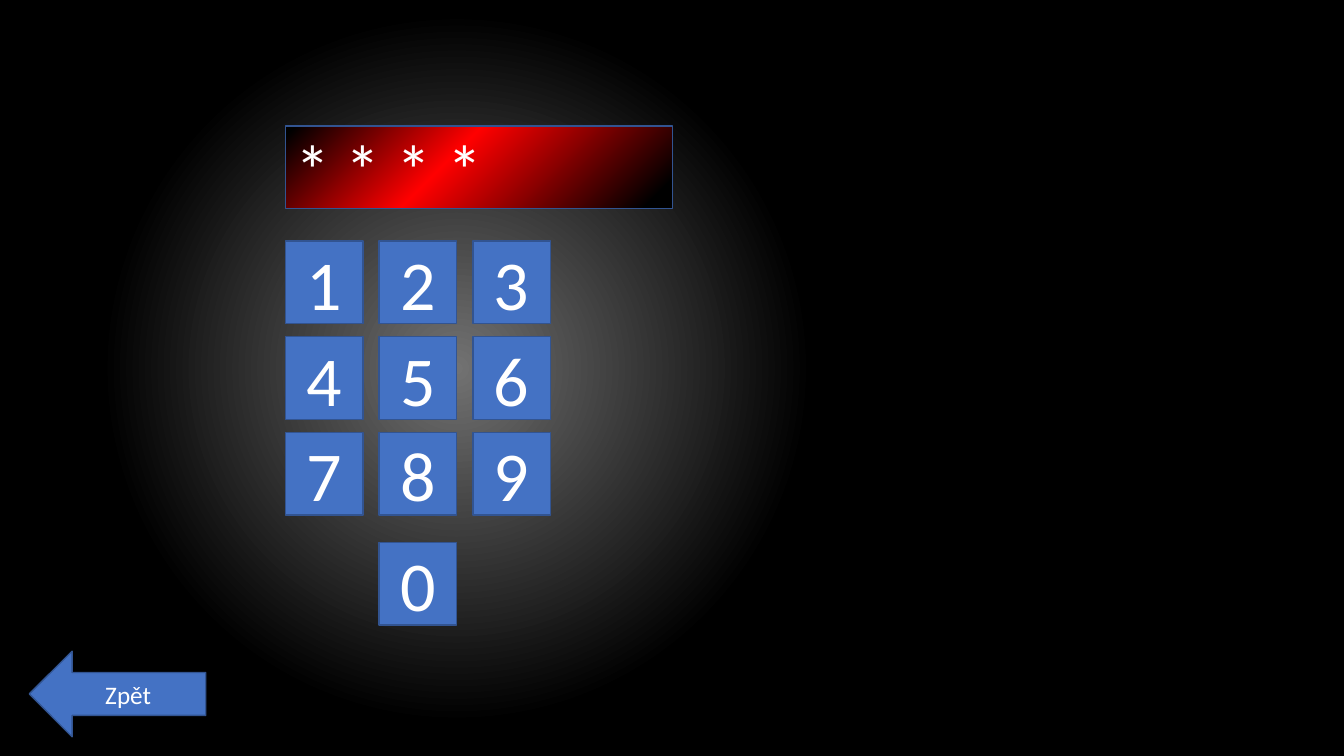
from pptx import Presentation
from pptx.dml.color import RGBColor
from pptx.enum.shapes import MSO_SHAPE
from pptx.enum.text import MSO_ANCHOR, PP_ALIGN
from pptx.oxml import parse_xml
from pptx.oxml.ns import nsdecls
from pptx.util import Inches, Pt

BLACK, WHITE, RED, GREY = "000000", "FFFFFF", "FF0000", "727272"
KEY_BLUE, EDGE_BLUE = "4472C4", "325491"
KEY_WIDTH, KEY_HEIGHT = 0.77, 0.82
KEYPAD_LEFT, KEYPAD_TOP = 2.83, 2.39
COLUMN_STEP, ROW_STEP = 0.93, 0.95
ZERO_TOP = 5.38


def color(hex_text):
    """Turn a hex string into a colour."""
    return RGBColor.from_string(hex_text)


class SlideBuilder:
    """Holds the style and the current slide."""

    font = "Calibri"

    def __init__(self, slide):
        """Remember the slide to draw on."""
        self.slide = slide

    def box(self, left, top, width, height, fill=KEY_BLUE, line=EDGE_BLUE,
            kind=MSO_SHAPE.RECTANGLE):
        """Add a filled and outlined preset shape."""
        shape = self.slide.shapes.add_shape(
            kind, Inches(left), Inches(top), Inches(width), Inches(height))
        shape.shadow.inherit = False
        shape.fill.solid()
        shape.fill.fore_color.rgb = color(fill)
        shape.line.color.rgb = color(line)
        shape.line.width = Pt(1)
        return shape

    def glow(self, shape, stops, focus):
        """Replace the solid fill by a circular gradient around a focus."""
        left, top, right, bottom = (percent * 1000 for percent in focus)
        stop_xml = "".join(
            f'<a:gs pos="{percent * 1000}"><a:srgbClr val="{hex_text}"/></a:gs>'
            for percent, hex_text in stops)
        gradient = parse_xml(
            f'<a:gradFill {nsdecls("a")} rotWithShape="1">'
            f'<a:gsLst>{stop_xml}</a:gsLst><a:path path="circle">'
            f'<a:fillToRect l="{left}" t="{top}" r="{right}" b="{bottom}"/>'
            '</a:path></a:gradFill>')
        properties = shape.element.spPr
        solid = properties.find(f"{{{properties.nsmap['a']}}}solidFill")
        properties.replace(solid, gradient)

    def label(self, shape, text, size=50, align=PP_ALIGN.CENTER):
        """Write one line of white text in a shape."""
        frame = shape.text_frame
        frame.word_wrap = True
        frame.vertical_anchor = MSO_ANCHOR.MIDDLE
        paragraph = frame.paragraphs[0]
        paragraph.alignment = align
        run = paragraph.add_run()
        run.text = text
        run.font.name = self.font
        run.font.size = Pt(size)
        run.font.color.rgb = color(WHITE)

    def key(self, digit, column, top):
        """Add one keypad key."""
        left = KEYPAD_LEFT + column * COLUMN_STEP
        self.label(self.box(left, top, KEY_WIDTH, KEY_HEIGHT), str(digit))


presentation = Presentation()
presentation.slide_width = Inches(13.33)
presentation.slide_height = Inches(7.5)
builder = SlideBuilder(
    presentation.slides.add_slide(presentation.slide_layouts[6]))

builder.box(0, 0, 13.33, 7.5, fill=BLACK, line=BLACK)
spotlight = builder.box(0.29, 0, 8.48, 7.31, line=BLACK)
builder.glow(spotlight, [(0, GREY), (63, BLACK)], (50, 50, 50, 50))

code_display = builder.box(KEYPAD_LEFT, 1.25, 3.84, KEY_HEIGHT)
builder.glow(code_display, [(6, BLACK), (58, RED), (98, BLACK)],
             (100, 100, 0, 0))
builder.label(code_display, "* * * *", align=PP_ALIGN.LEFT)

for digit in range(1, 10):
    row, column = divmod(digit - 1, 3)
    builder.key(digit, column, KEYPAD_TOP + row * ROW_STEP)
builder.key(0, 1, ZERO_TOP)

back_arrow = builder.box(0.29, 6.46, 1.75, 0.85, kind=MSO_SHAPE.LEFT_ARROW)
builder.label(back_arrow, "Zpět", size=18)

presentation.save("out.pptx")
